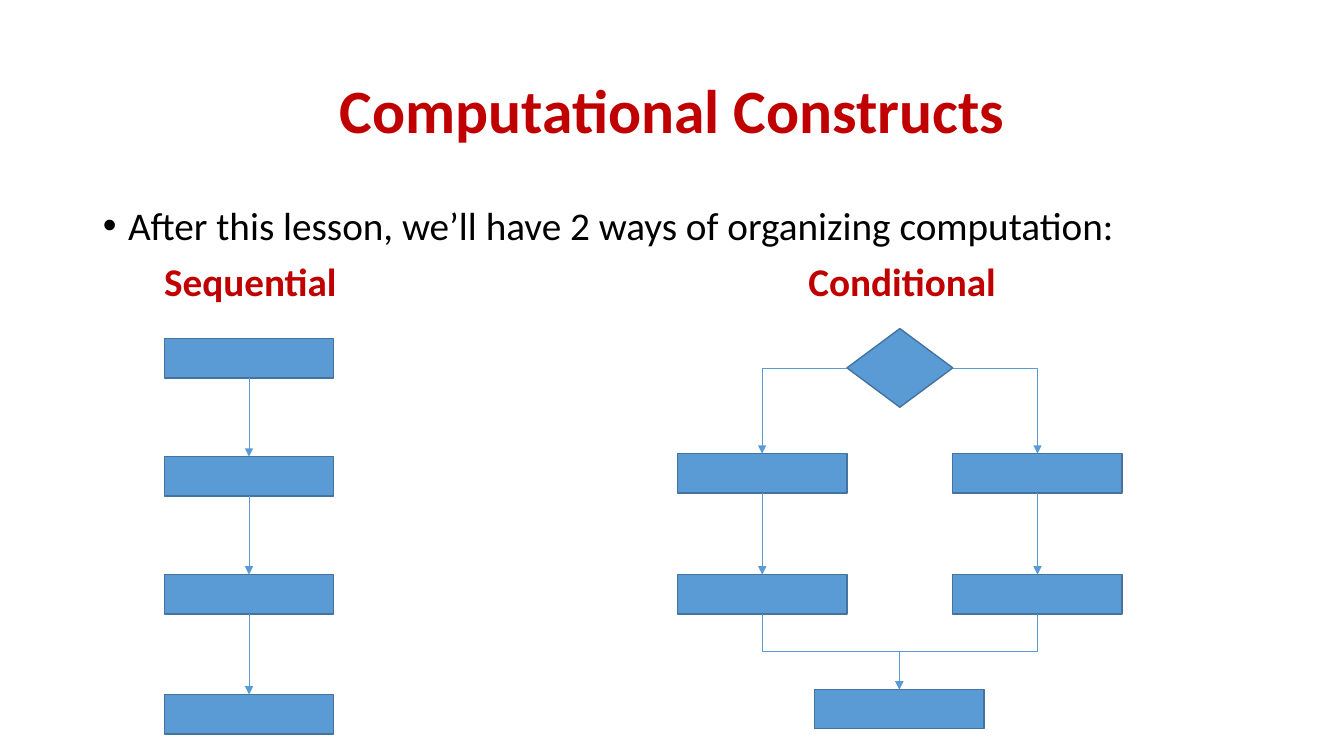
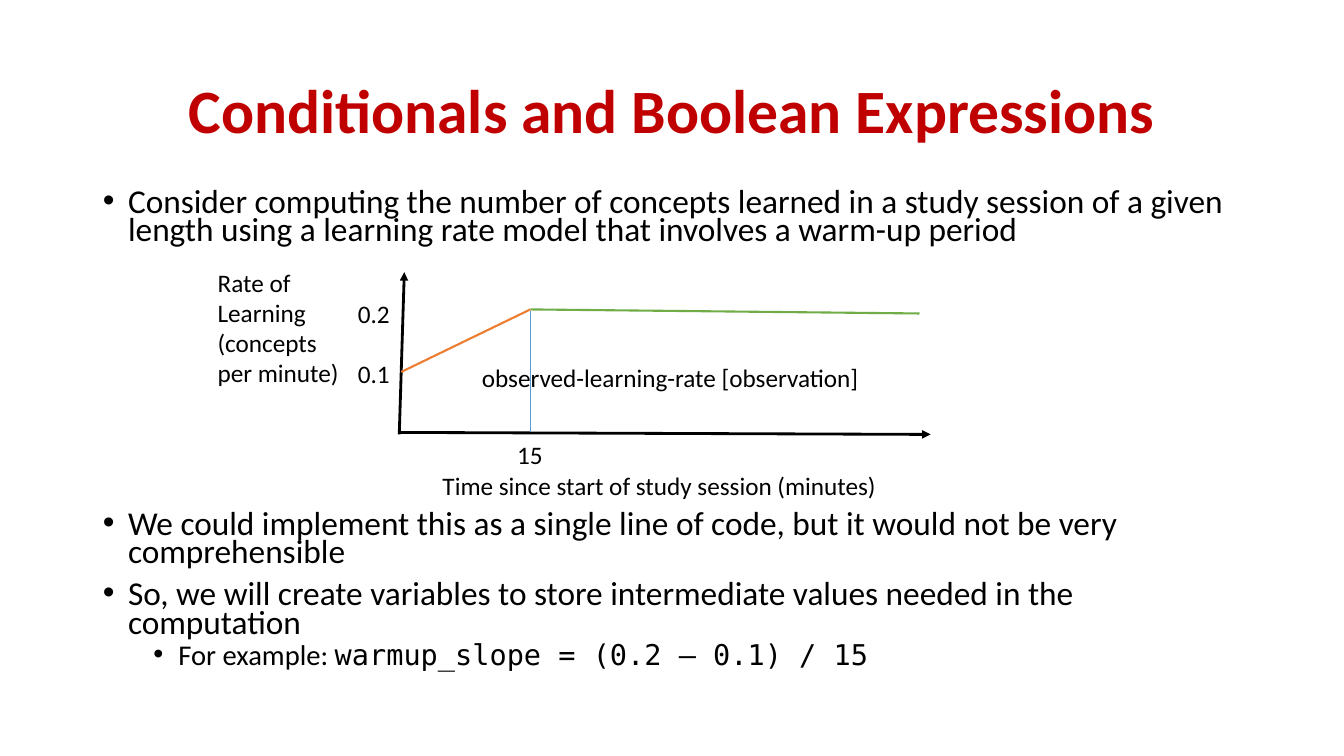
import pptx
import pptx.util
import pptx.dml.color
import pptx.enum.shapes
import pptx.enum.text
import pptx.oxml.ns
from dataclasses import dataclass
from lxml import etree

PX = 9144  # one px is a hundredth of an inch
Pt = pptx.util.Pt
Shape = pptx.enum.shapes.MSO_SHAPE
Connector = pptx.enum.shapes.MSO_CONNECTOR
AutoSize = pptx.enum.text.MSO_AUTO_SIZE
Anchor = pptx.enum.text.MSO_ANCHOR
Align = pptx.enum.text.PP_ALIGN
qn = pptx.oxml.ns.qn


@dataclass(frozen=True)
class Theme:
    font: str = "Calibri"
    code_font: str = "DejaVu Sans Mono"
    text: str = "000000"
    accent: str = "C00000"
    fill: str = "5B9BD5"
    outline: str = "43739E"
    warmup: str = "ED7D31"
    steady: str = "70AD47"
    title_size: float = 44
    body_size: float = 28
    dense_size: float = 23.8
    sub_size: float = 20.4
    label_size: float = 18


THEME = Theme()
SLIDE_SIZE = (1333, 750)
TITLE_BOX = (92, 40, 1150, 145)
TOP, LEFT, BOTTOM, RIGHT = range(4)  # connection sites of a shape

CONSTRUCTS = {
    "title": "Computational Constructs",
    "body_box": (92, 200, 1150, 476),
    "spacing": 0.9,
    # level, size, space before, runs of (text, font)
    "body": [(0, THEME.body_size, 10,
              [("After this lesson, we’ll have 2 ways of organizing computation:", THEME.font)])],
    "headings": [("Sequential", (153, 250, 300, 57)), ("Conditional", (792, 250, 300, 57))],
}
STEP_SIZE = (168, 39)
SEQUENCE_LEFT, SEQUENCE_TOPS = 163, (336, 453, 570, 689)
DECISION_BOX = (840, 326, 105, 78)
BRANCH_LEFTS, BRANCH_TOPS = (672, 945), (450, 570)
MERGE_POINT = (808, 684)

EXPRESSIONS = {
    "title": "Conditionals and Boolean Expressions",
    "body_box": (92, 185, 1150, 538),
    "spacing": 0.7,
    "body": [
        (0, THEME.dense_size, 10,
         [("Consider computing the number of concepts learned in a study session of a given "
           "length using a learning rate model that involves a warm-up period", THEME.font)]),
        (0, THEME.dense_size, 190,
         [("We could implement this as a single line of code, but it would not be very "
           "comprehensible", THEME.font)]),
        (0, THEME.dense_size, 10,
         [("So, we will create variables to store intermediate values needed in the "
           "computation", THEME.font)]),
        (1, THEME.sub_size, 5,
         [("For example: ", THEME.font),
          ("warmup_slope = (0.2 – 0.1) / 15", THEME.code_font)]),
    ],
}
# start, end, colour, width, arrowhead
GRAPH_LINES = [
    ((395, 429), (923, 431), THEME.text, 2, True),
    ((396, 431), (401, 270), THEME.text, 2, True),
    ((526, 307), (912, 311), THEME.steady, 1.5, False),
    ((398, 369), (526, 307), THEME.warmup, 1.5, False),
    ((526, 309), (526, 429), THEME.fill, 0.5, False),
]
GRAPH_LABELS = [
    ("Time since start of study session (minutes)", (429, 462, 461, 40)),
    ("Rate of\nLearning\n(concepts\nper minute)", (206, 260, 142, 131)),
    ("15", (503, 431, 46, 40)),
    ("0.1", (345, 351, 52, 40)),
    ("0.2", (345, 291, 52, 40)),
    ("observed-learning-rate [observation]", (468, 355, 398, 40)),
]


def emu(lengths):
    return [round(length * PX) for length in lengths]


def rgb(color):
    return pptx.dml.color.RGBColor.from_string(color)


def assign(target, values):
    for name, value in values.items():
        setattr(target, name, value)


def place(shape, box):
    assign(shape, dict(zip(("left", "top", "width", "height"), emu(box))))


def style_font(font, size, color=THEME.text, name=THEME.font, bold=False):
    assign(font, {"name": name, "size": Pt(size), "bold": bold})
    font.color.rgb = rgb(color)


def add_bullet(para, indent):
    """Give the paragraph a round bullet hanging 25 px left of the indent."""
    properties = para._p.get_or_add_pPr()
    properties.set("marL", str(indent * PX))
    properties.set("indent", str(-25 * PX))
    etree.SubElement(properties, qn("a:buFont")).set("typeface", "Arial")
    etree.SubElement(properties, qn("a:buChar")).set("char", "•")


def add_page(deck, content):
    page = deck.slides.add_slide(deck.slide_layouts[1])
    title, body = page.shapes.title, page.placeholders[1]
    place(title, TITLE_BOX)
    title.text_frame.text = content["title"]
    assign(title.text_frame, {"auto_size": AutoSize.NONE, "vertical_anchor": Anchor.MIDDLE})
    para = title.text_frame.paragraphs[0]
    assign(para, {"alignment": Align.CENTER, "line_spacing": 0.9})
    style_font(para.runs[0].font, THEME.title_size, THEME.accent, bold=True)

    place(body, content["body_box"])
    frame = body.text_frame
    frame.auto_size = AutoSize.NONE
    for index, (level, size, before, spans) in enumerate(content["body"]):
        para = frame.add_paragraph() if index else frame.paragraphs[0]
        assign(para, {"level": level, "line_spacing": content["spacing"],
                      "space_before": Pt(before)})
        add_bullet(para, 25 + 50 * level)
        for text, font_name in spans:
            span = para.add_run()
            span.text = text
            style_font(span.font, size, name=font_name)
    return page


def add_label(page, text, box, wrap=False, size=THEME.label_size, color=THEME.text, bold=False):
    frame = page.shapes.add_textbox(*emu(box)).text_frame
    assign(frame, {"text": text, "word_wrap": wrap, "auto_size": AutoSize.SHAPE_TO_FIT_TEXT})
    for para in frame.paragraphs:
        style_font(para.runs[0].font, size, color, bold=bold)


def add_block(page, box, preset=Shape.RECTANGLE):
    block = page.shapes.add_shape(preset, *emu(box))
    block.shadow.inherit = False
    block.fill.solid()
    block.fill.fore_color.rgb = rgb(THEME.fill)
    block.line.color.rgb = rgb(THEME.outline)
    block.line.width = Pt(1)
    return block


def add_line(page, start, end, color=THEME.fill, width=0.5, arrow=True, preset=None):
    """Draw a straight line, or the given bent connector preset."""
    kind = Connector.ELBOW if preset else Connector.STRAIGHT
    line = page.shapes.add_connector(kind, *emu(start + end))
    line.line.color.rgb = rgb(color)
    line.line.width = Pt(width)
    if arrow:
        tail = etree.SubElement(line.line._get_or_add_ln(), qn("a:tailEnd"))
        tail.set("type", "triangle")
    properties = line._element.spPr
    etree.SubElement(properties, qn("a:effectLst"))
    if preset:
        properties.find(qn("a:prstGeom")).set("prst", preset)
    return line


def site_point(block, site):
    x, y = {TOP: (0.5, 0), LEFT: (0, 0.5), BOTTOM: (0.5, 1), RIGHT: (1, 0.5)}[site]
    return ((block.left + x * block.width) / PX, (block.top + y * block.height) / PX)


def link(page, source, target, site=BOTTOM, preset=None):
    """Glue an arrow from a site of the source to the top of the target."""
    line = add_line(page, site_point(source, site), site_point(target, TOP), preset=preset)
    line.begin_connect(source, site)
    line.end_connect(target, TOP)


def merge(page, source, target):
    """Draw a down-across-down arrow: a bent connector turned by a quarter."""
    (x1, y1), (x2, y2) = site_point(source, BOTTOM), site_point(target, TOP)
    middle_x, middle_y = (x1 + x2) / 2, (y1 + y2) / 2
    half_width, half_height = (y2 - y1) / 2, abs(x2 - x1) / 2
    if x1 < x2:
        half_width, turn = -half_width, 270
    else:
        turn = 90
    line = add_line(page, (middle_x - half_width, middle_y - half_height),
                    (middle_x + half_width, middle_y + half_height), preset="bentConnector3")
    line.rotation = turn


def add_chain(page, left, tops):
    steps = [add_block(page, (left, top) + STEP_SIZE) for top in tops]
    for upper, lower in zip(steps, steps[1:]):
        link(page, upper, lower)
    return steps


def build_constructs(deck):
    page = add_page(deck, CONSTRUCTS)
    for text, box in CONSTRUCTS["headings"]:
        add_label(page, text, box, wrap=True, size=THEME.body_size,
                  color=THEME.accent, bold=True)
    add_chain(page, SEQUENCE_LEFT, SEQUENCE_TOPS)
    decision = add_block(page, DECISION_BOX, Shape.FLOWCHART_DECISION)
    merged = add_block(page, MERGE_POINT + STEP_SIZE)
    for left, site in zip(BRANCH_LEFTS, (LEFT, RIGHT)):
        first, last = add_chain(page, left, BRANCH_TOPS)
        link(page, decision, first, site, "bentConnector2")
        merge(page, last, merged)


def build_expressions(deck):
    page = add_page(deck, EXPRESSIONS)
    for line in GRAPH_LINES:
        add_line(page, *line)
    for text, box in GRAPH_LABELS:
        add_label(page, text, box)


def main():
    deck = pptx.Presentation()
    deck.slide_width, deck.slide_height = emu(SLIDE_SIZE)
    build_constructs(deck)
    build_expressions(deck)
    deck.save("out.pptx")


if __name__ == "__main__":
    main()
